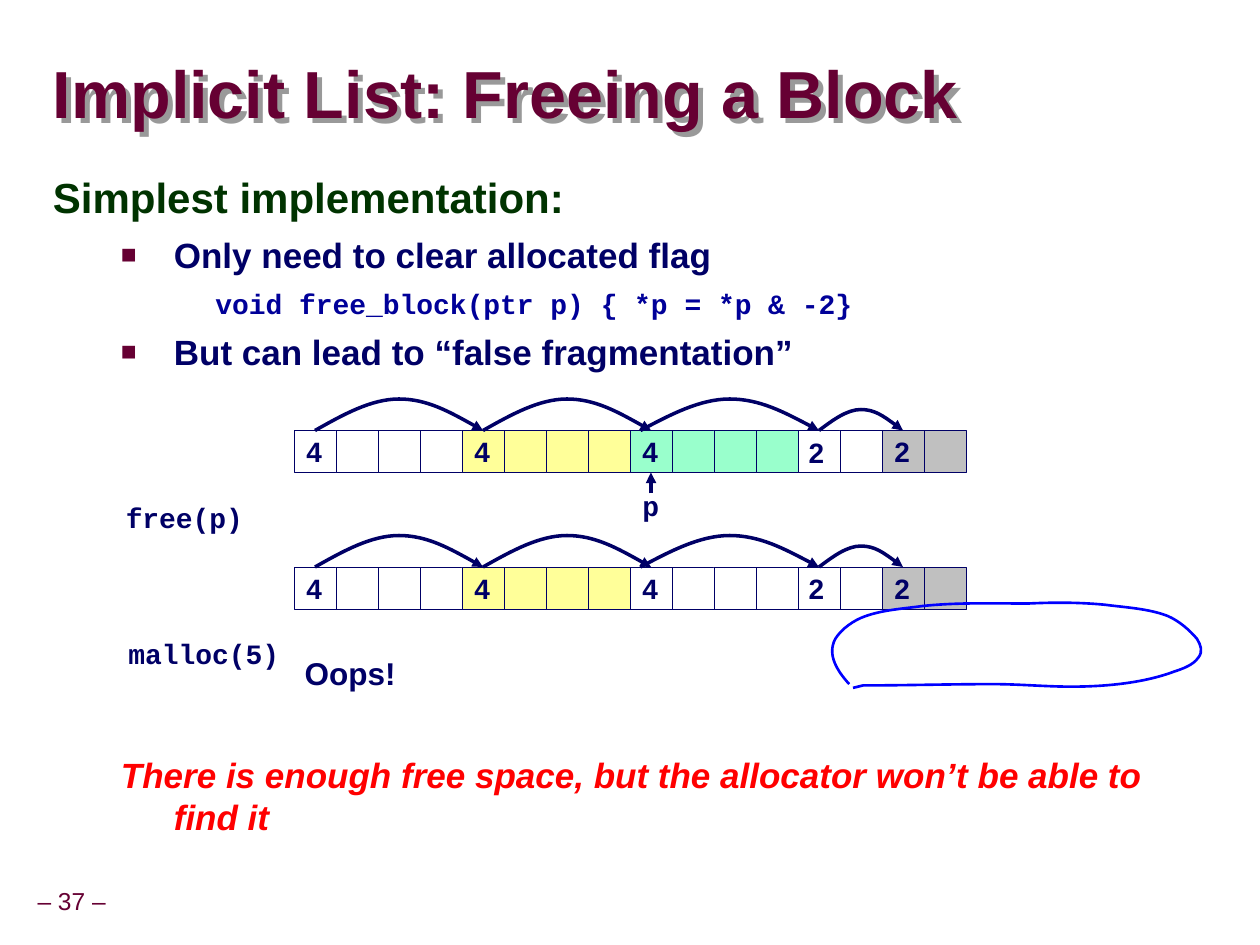
from lxml import etree
from pptx import Presentation, util as u
from pptx.dml.color import RGBColor
from pptx.enum import shapes, text
from pptx.oxml import parse_xml
from pptx.oxml.ns import nsdecls, qn

NAVY, MAROON, WHITE, YELLOW, GREEN, GREY = (
    "000066", "660033", "FFFFFF", "FFFF99", "99FFCC", "C0C0C0")
CELL = u.Inches(1 / 3)
FIRST_COLUMN = 7


def style(paragraph, size, color, font="Arial", bold=True):
    for run in paragraph.runs:
        run.font.size, run.font.name, run.font.bold = u.Pt(size), font, bold
        run.font.color.rgb = RGBColor.from_string(color)


def curve(points, color, width):
    """Draw cubic Béziers through points (inches): a start, then three per segment."""
    start, *rest = [(u.Inches(x), u.Inches(y)) for x, y in points]
    builder = slide.shapes.build_freeform(*start)
    builder.add_line_segments(rest, close=False)
    stroke = builder.convert_to_shape()
    stroke.shadow.inherit = False
    stroke.fill.background()
    stroke.line.color.rgb = RGBColor.from_string(color)
    stroke.line.width = u.Pt(width)
    steps = list(stroke._element.iter(qn("a:lnTo")))
    for i in range(0, len(steps), 3):
        bezier = etree.Element(qn("a:cubicBezTo"))
        steps[i].addprevious(bezier)
        for step in steps[i:i + 3]:
            bezier.append(step[0])
            step.getparent().remove(step)
    return stroke


prs = Presentation()
prs.slide_width, prs.slide_height = u.Inches(10), u.Inches(7.5)
slide = prs.slides.add_slide(prs.slide_layouts[1])
title, body = slide.placeholders

# Title with its shadow
title.left, title.top, title.width, title.height = map(u.Inches, (0.42, 0.46, 7.88, 0.63))
frame = title.text_frame
frame.text = "Implicit List: Freeing a Block"
frame.margin_left = frame.margin_right = frame.margin_top = frame.margin_bottom = 0
frame.vertical_anchor = text.MSO_ANCHOR.MIDDLE
frame.auto_size = text.MSO_AUTO_SIZE.NONE
heading = frame.paragraphs[0]
heading.alignment, heading.line_spacing = text.PP_ALIGN.LEFT, 0.87
style(heading, 38, MAROON)
title._element.spPr.append(parse_xml(
    f'<a:effectLst {nsdecls("a")}><a:outerShdw dist="50800" dir="2700000">'
    '<a:srgbClr val="999999"/></a:outerShdw></a:effectLst>'))

# Points: text, level, left margin, indent, line spacing, space before, size, colour, font, bullet
points = [
    ("Simplest implementation:", 0, 0.5, -0.5, 0.95, 15, 24, "003300", "Arial", False),
    ("Only need to clear allocated flag", 1, 0.96, -0.42, 1, 6.2, 20, NAVY, "Arial", True),
    ("void free_block(ptr p) { *p = *p & -2}", 2, 1.37, -0.08, 1.2, 2, 16, "000099",
     "Courier New", False),
    ("But can lead to “false fragmentation”", 1, 0.96, -0.42, 1, 6.2, 20, NAVY, "Arial", True),
    ("There is enough free space, but the allocator won’t be able to find it",
     1, 0.96, -0.42, 1, 217.7, 20, "FF0000", "Arial", False),
]
body.left, body.top, body.width, body.height = map(u.Inches, (0.32, 1.34, 9.09, 5.91))
frame = body.text_frame
frame.text = "\n".join(point[0] for point in points)
frame.auto_size = text.MSO_AUTO_SIZE.NONE
for paragraph, point in zip(frame.paragraphs, points):
    _, level, margin, indent, spacing, before, size, color, font, bullet = point
    paragraph.level, paragraph.line_spacing = level, float(spacing)
    paragraph.space_before = u.Pt(before)
    style(paragraph, size, color, font)
    pPr = paragraph._p.get_or_add_pPr()
    pPr.set("marL", str(u.Inches(margin)))
    pPr.set("indent", str(u.Inches(indent)))
    if bullet:
        color_mark = etree.SubElement(pPr, qn("a:buClr"))
        etree.SubElement(color_mark, qn("a:srgbClr"), val=MAROON)
        etree.SubElement(pPr, qn("a:buSzPct"), val="75000")
        etree.SubElement(pPr, qn("a:buFont"), typeface="Arial")
        etree.SubElement(pPr, qn("a:buChar"), char="■")
    else:
        etree.SubElement(pPr, qn("a:buNone"))
frame.paragraphs[-1].runs[0].font.italic = True

# Heap before and after free(p): row position in cells, then the fill of the freed block
arrows = []
sizes = {0: "4", 4: "4", 8: "4", 14: "2"}
hops = [(0.5, 4.5, 0.75), (4.5, 8.5, 0.75), (8.25, 12.5, 0.75), (12.5, 14.5, 0.5)]
shares = [(0, 0), (1 / 6, 0.5), (1 / 3, 1), (1 / 2, 1), (2 / 3, 1), (5 / 6, 0.5), (1, 0)]
for row, freed in ((10.25, GREEN), (13.5, WHITE)):
    fills = [WHITE] * 4 + [YELLOW] * 4 + [freed] * 4 + [WHITE] * 2 + [GREY] * 2
    for column, fill in enumerate(fills):
        word = slide.shapes.add_shape(
            shapes.MSO_SHAPE.RECTANGLE, int((FIRST_COLUMN + column) * CELL),
            int(row * CELL), CELL, CELL)
        word.shadow.inherit = False
        word.fill.solid()
        word.fill.fore_color.rgb = RGBColor.from_string(fill)
        word.line.color.rgb = RGBColor.from_string(NAVY)
        word.line.width = u.Pt(0.25)
        if column in sizes:
            word.text_frame.text = sizes[column]
            word.text_frame.word_wrap = False
            style(word.text_frame.paragraphs[0], 16, NAVY)
    for start, end, height in hops:
        arrows.append(curve([((FIRST_COLUMN + start + (end - start) * x) / 3,
                              (row - height * y) / 3) for x, y in shares], NAVY, 2))

pointer = slide.shapes.add_connector(
    shapes.MSO_CONNECTOR.STRAIGHT, int(15.5 * CELL), int(11.75 * CELL),
    int(15.5 * CELL), int(11.25 * CELL))
pointer.line.color.rgb = RGBColor.from_string(NAVY)
pointer.line.width = u.Pt(2)
etree.SubElement(pointer._element.spPr, qn("a:effectLst"))
for arrow in arrows + [pointer]:
    etree.SubElement(arrow.line._get_or_add_ln(), qn("a:tailEnd"), type="triangle")

# Labels: text, left, top, width, height, size, colour, font, bold
labels = [
    ("2", 6.32, 3.41, 0.32, 0.37, 16, NAVY, "Arial", True),
    ("2", 6.32, 4.49, 0.32, 0.37, 16, NAVY, "Arial", True),
    ("free(p)", 0.9, 3.92, 1.13, 0.37, 16, NAVY, "Courier New", True),
    ("p", 5, 3.83, 0.33, 0.37, 16, NAVY, "Courier New", True),
    ("malloc(5)", 0.92, 5, 1.41, 0.37, 16, NAVY, "Courier New", True),
    ("Oops!", 2.32, 5.14, 0.92, 0.4, 18, NAVY, "Arial", True),
    ("– 37 –", 0.2, 6.98, 0.74, 0.31, 14, MAROON, "Arial", False),
]
for label, left, top, width, height, size, color, font, bold in labels:
    caption = slide.shapes.add_textbox(*map(u.Inches, (left, top, width, height)))
    caption.text_frame.text = label
    caption.text_frame.word_wrap = False
    caption.text_frame.auto_size = text.MSO_AUTO_SIZE.SHAPE_TO_FIT_TEXT
    style(caption.text_frame.paragraphs[0], size, color, font, bold)

# Hand-drawn loop around the space that is still free
curve([(6.77, 5.46), (6.8, 5.46), (6.82, 5.44), (6.85, 5.44),
       (7.19, 5.44), (7.54, 5.43), (7.88, 5.43), (8.09, 5.43), (8.3, 5.45), (8.5, 5.45),
       (8.78, 5.45), (9.08, 5.42), (9.32, 5.33), (9.38, 5.31), (9.47, 5.28), (9.51, 5.22),
       (9.55, 5.17), (9.53, 5.12), (9.5, 5.07), (9.44, 5), (9.36, 4.93), (9.27, 4.89),
       (9.12, 4.83), (8.92, 4.82), (8.77, 4.8), (8.57, 4.78), (8.36, 4.78), (8.16, 4.79),
       (7.89, 4.79), (7.6, 4.78), (7.32, 4.81), (7.18, 4.83), (7.01, 4.84), (6.87, 4.89),
       (6.78, 4.92), (6.68, 4.99), (6.63, 5.07), (6.56, 5.2), (6.65, 5.33), (6.74, 5.43)],
      "0000FF", 1.5)

prs.save("out.pptx")
